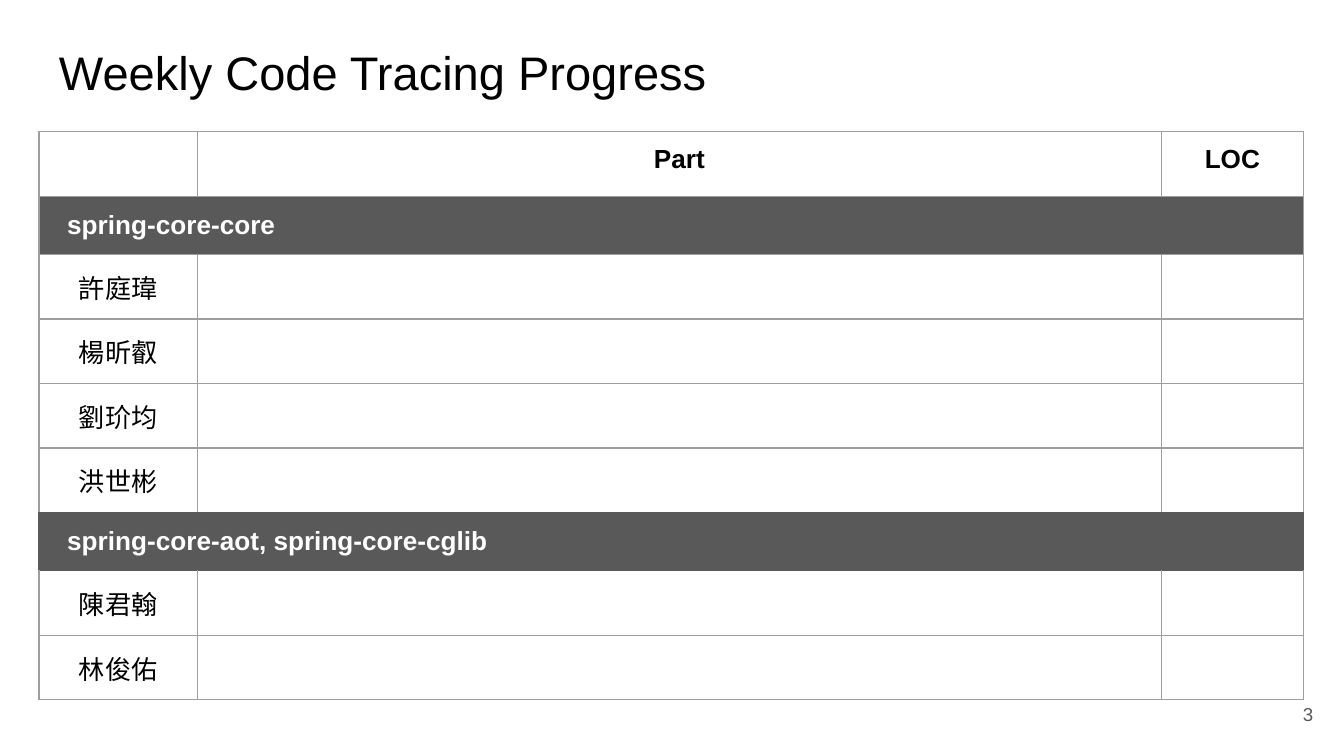
from dataclasses import dataclass

from lxml import etree
from pptx import Presentation
from pptx import util as u
from pptx.dml.color import RGBColor
from pptx.enum import text
from pptx.oxml import ns


@dataclass(frozen=True)
class Theme:
    font: str = "Arial"
    ink: str = "000000"
    paper: str = "FFFFFF"
    band: str = "595959"
    rule: str = "9E9E9E"
    title_size: float = 25.2
    table_size: float = 14
    number_size: float = 10
    rule_width: float = 0.75


THEME = Theme()
LEFT, CENTER, RIGHT = text.PP_ALIGN.LEFT, text.PP_ALIGN.CENTER, text.PP_ALIGN.RIGHT
TOP, MIDDLE = text.MSO_ANCHOR.TOP, text.MSO_ANCHOR.MIDDLE
SLIDE_WIDTH = 10
SLIDE_HEIGHT = SLIDE_WIDTH * 9 / 16
INSET = 0.1
SECTION_INSET = 0.21
COLUMN_WIDTHS = (1.18, 7.17, 1.06)
ROW_HEIGHT = 0.48
SECTION_HEIGHT = 0.41
HEADINGS = ("", "Part", "LOC")
SECTIONS = (
    ("spring-core-core", THEME.rule, ("許庭瑋", "楊昕叡", "劉玠均", "洪世彬")),
    ("spring-core-aot, spring-core-cglib", THEME.band, ("陳君翰", "林俊佑")),
)


@dataclass
class Row:
    texts: tuple
    height: float = ROW_HEIGHT
    bold: bool = False
    section: bool = False
    edge: str = THEME.rule


def write(frame, words, size, color=THEME.ink, bold=False, align=LEFT):
    para = frame.paragraphs[0]
    para.alignment = align
    para.font.size = u.Pt(size)
    if words:
        span = para.add_run()
        span.text = words
        span.font.name = THEME.font
        span.font.size = u.Pt(size)
        span.font.bold = bold
        span.font.color.rgb = RGBColor.from_string(color)


class SlideBuilder:
    def __init__(self, slide, theme):
        self.slide = slide
        self.theme = theme

    def text_box(self, words, left, top, width, height, anchor=TOP, **style):
        box = self.slide.shapes.add_textbox(*map(u.Inches, (left, top, width, height)))
        frame = box.text_frame
        frame.word_wrap = True
        frame.vertical_anchor = anchor
        frame.margin_left = frame.margin_right = u.Inches(INSET)
        frame.margin_top = frame.margin_bottom = u.Inches(INSET)
        write(frame, words, **style)

    def borders(self, cell, top, bottom, sides):
        properties = cell._tc.get_or_add_tcPr()
        colors = {"a:lnL": sides, "a:lnR": sides, "a:lnT": top, "a:lnB": bottom}
        for tag, color in colors.items():
            line = etree.SubElement(properties, ns.qn(tag), w=str(u.Pt(self.theme.rule_width)))
            fill = etree.SubElement(line, ns.qn("a:solidFill"))
            etree.SubElement(fill, ns.qn("a:srgbClr"), val=color)

    def cell(self, cell, words, row):
        cell.margin_left = u.Inches(SECTION_INSET if row.section else INSET)
        cell.margin_right = cell.margin_top = cell.margin_bottom = u.Inches(INSET)
        cell.vertical_anchor = MIDDLE if row.section else TOP
        if row.section:
            cell.fill.solid()
            cell.fill.fore_color.rgb = RGBColor.from_string(self.theme.band)
        else:
            cell.fill.background()
        write(cell.text_frame, words, self.theme.table_size, bold=row.bold,
              color=self.theme.paper if row.section else self.theme.ink,
              align=LEFT if row.section else CENTER)

    def edge_color(self, edges):
        return self.theme.band if self.theme.band in edges else self.theme.rule

    def table(self, rows, widths, left, top):
        height = sum(row.height for row in rows)
        frame = self.slide.shapes.add_table(
            len(rows), len(widths), *map(u.Inches, (left, top, sum(widths), height)))
        table = frame.table
        table.first_row = table.horz_banding = False
        for column, width in zip(table.columns, widths):
            column.width = u.Inches(width)
        edges = [row.edge for row in rows]
        for index, row in enumerate(rows):
            table.rows[index].height = u.Inches(row.height)
            above = self.edge_color(edges[max(index - 1, 0):index + 1])
            below = self.edge_color(edges[index:index + 2])
            for column, words in enumerate(row.texts):
                cell = table.cell(index, column)
                self.borders(cell, above, below, row.edge)
                self.cell(cell, words, row)
            if row.section:
                table.cell(index, 0).merge(table.cell(index, len(widths) - 1))


def progress_rows():
    rows = [Row(HEADINGS, bold=True)]
    for name, edge, members in SECTIONS:
        rows.append(Row((name, "", ""), SECTION_HEIGHT, bold=True, section=True, edge=edge))
        rows.extend(Row((member, "", "")) for member in members)
    return rows


def main():
    deck = Presentation()
    deck.slide_width, deck.slide_height = u.Inches(SLIDE_WIDTH), u.Inches(SLIDE_HEIGHT)
    page = SlideBuilder(deck.slides.add_slide(deck.slide_layouts[6]), THEME)
    page.text_box("Weekly Code Tracing Progress", 0.34, 0.22, 9.32, 0.63, size=THEME.title_size)
    page.table(progress_rows(), COLUMN_WIDTHS, 0.29, 0.98)
    page.text_box("3", 9.27, 5.1, 0.6, 0.43, anchor=MIDDLE,
                  size=THEME.number_size, color=THEME.band, align=RIGHT)
    deck.save("out.pptx")


if __name__ == "__main__":
    main()
